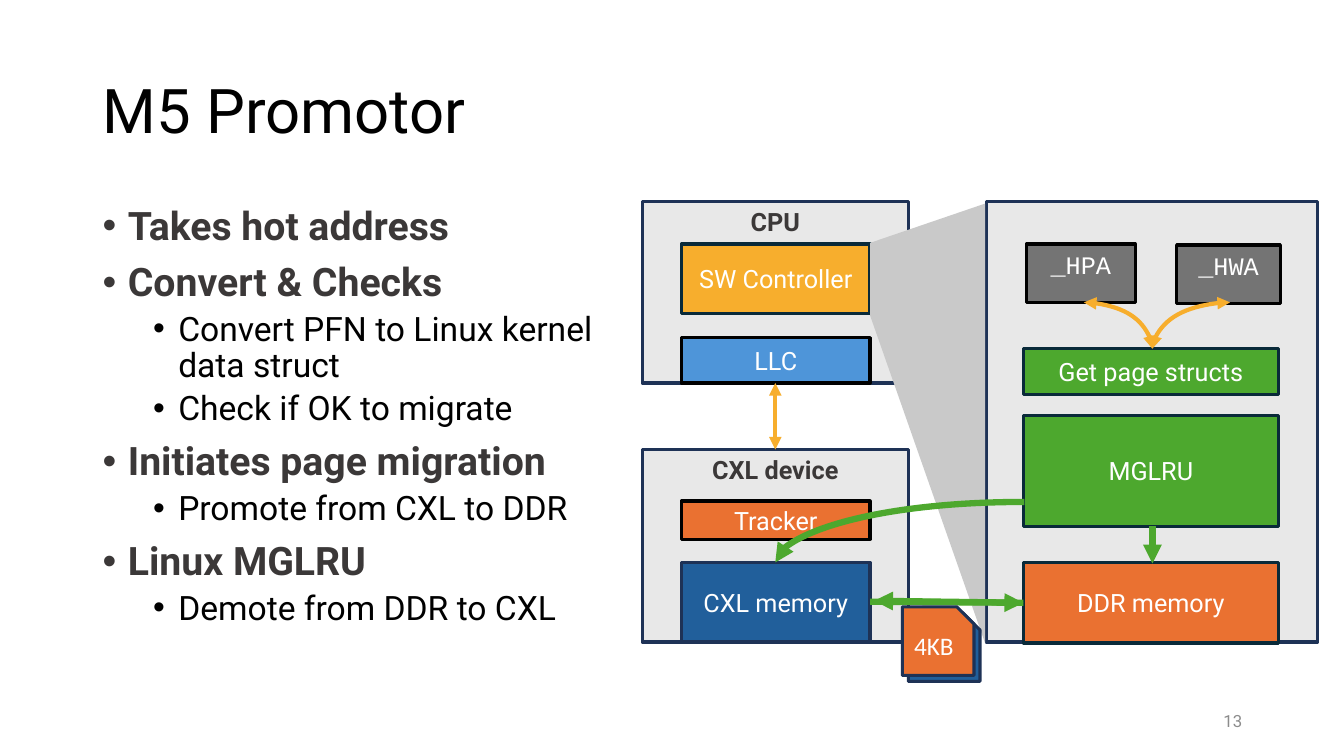
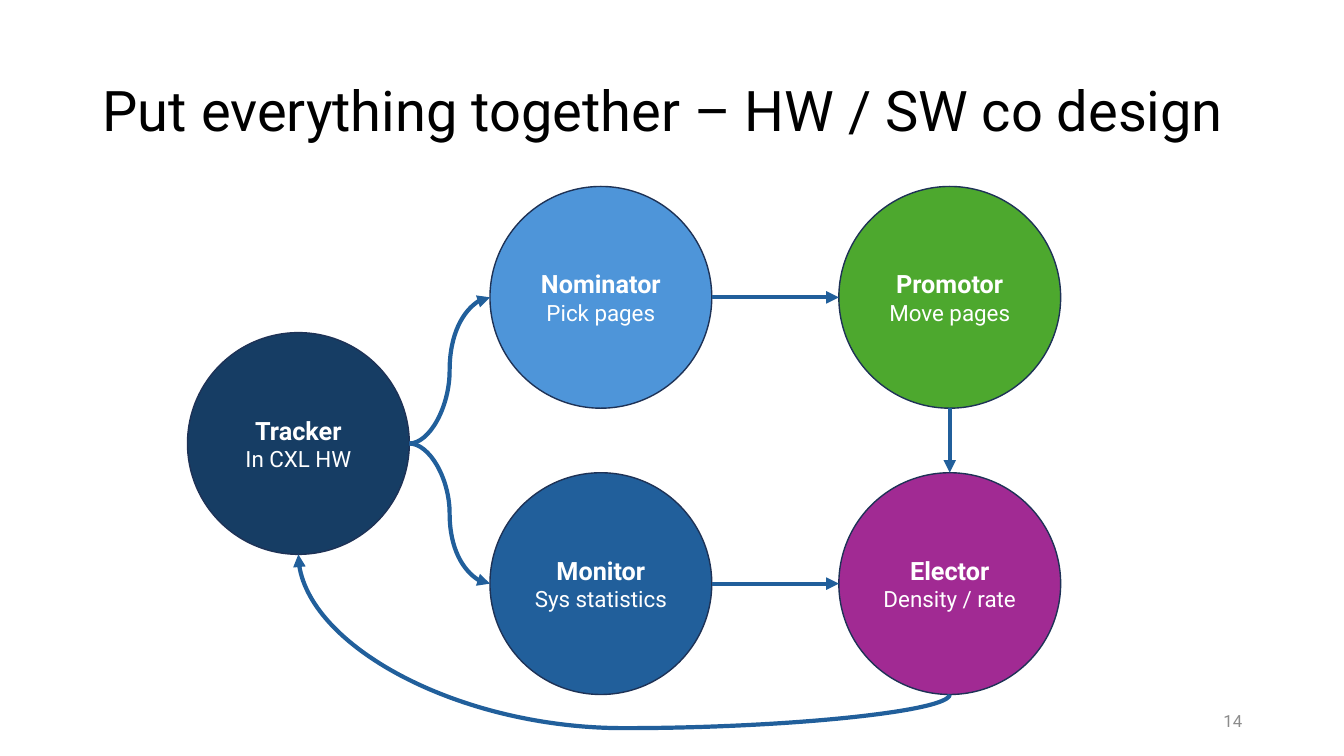
from pptx import Presentation
from pptx.dml.color import RGBColor
from pptx.enum.shapes import MSO_CONNECTOR, MSO_SHAPE
from pptx.enum.text import MSO_ANCHOR, PP_ALIGN
from pptx.oxml.ns import qn
from pptx.util import Inches, Pt
from lxml import etree

# Shared style
FONT = "Roboto"
BLACK = RGBColor(0x00, 0x00, 0x00)
WHITE = RGBColor(0xFF, 0xFF, 0xFF)
CHARCOAL = RGBColor(0x3B, 0x38, 0x38)
GRAY = RGBColor(0x74, 0x74, 0x74)
NUMBER_GRAY = RGBColor(0x8C, 0x8C, 0x8C)
WEDGE_GRAY = RGBColor(0xC9, 0xC9, 0xC9)
PANEL = RGBColor(0xE8, 0xE8, 0xE8)
NAVY_LINE = RGBColor(0x1E, 0x32, 0x56)
TEAL_LINE = RGBColor(0x09, 0x2A, 0x39)
NAVY = RGBColor(0x16, 0x3D, 0x64)
BLUE = RGBColor(0x21, 0x5F, 0x9B)
SKY = RGBColor(0x4E, 0x95, 0xD9)
GREEN = RGBColor(0x4D, 0xA8, 0x2E)
ORANGE = RGBColor(0xEA, 0x71, 0x31)
AMBER = RGBColor(0xF7, 0xAE, 0x2D)
PURPLE = RGBColor(0xA1, 0x2A, 0x93)

# Slide 1 content
FIRST_NUMBER = 13
BULLETS = [
    (0, "Takes hot address"),
    (0, "Convert & Checks"),
    (1, "Convert PFN to Linux kernel data struct"),
    (1, "Check if OK to migrate"),
    (0, "Initiates page migration"),
    (1, "Promote from CXL to DDR"),
    (0, "Linux MGLRU"),
    (1, "Demote from DDR to CXL"),
]
BULLET_LEVELS = [
    {"size": 28, "color": CHARCOAL, "bold": True, "before": 10, "indent": 0.25},
    {"size": 24, "color": BLACK, "bold": False, "before": 5, "indent": 0.75},
]

HEADING = {"color": CHARCOAL, "bold": True, "anchor": MSO_ANCHOR.TOP}
CODE = {"font": "Courier New", "anchor": MSO_ANCHOR.TOP}
PAGE = {"font": "Calibri"}

LEFT_X, LEFT_W = 6.76, 1.87      # blocks inside the CPU and CXL device
RIGHT_X, RIGHT_W = 10.15, 2.53   # blocks inside the controller detail
LEFT_MID = 7.69
RIGHT_MID = 11.43

# text, (left, top, width, height), fill, line, text format
BLOCKS = [
    ("CXL device", (6.37, 4.46, 2.64, 1.91), PANEL, NAVY_LINE, HEADING),
    ("CXL memory", (LEFT_X, 5.58, LEFT_W, 0.79), BLUE, NAVY_LINE, {}),
    ("Tracker", (LEFT_X, 4.97, LEFT_W, 0.38), ORANGE, BLACK, {}),
    ("CPU", (6.37, 2, 2.64, 1.8), PANEL, NAVY_LINE, HEADING),
    ("LLC", (LEFT_X, 3.35, LEFT_W, 0.45), SKY, BLACK, {}),
    ("SW Controller", (LEFT_X, 2.42, LEFT_W, 0.69), AMBER, TEAL_LINE, {}),
    ("", (9.78, 2, 3.29, 4.37), PANEL, NAVY_LINE, {}),
    ("_HWA", (11.67, 2.43, 1.03, 0.58), GRAY, BLACK, CODE),
    ("_HPA", (10.18, 2.42, 1.08, 0.58), GRAY, BLACK, CODE),
    ("Get page structs", (RIGHT_X, 3.46, RIGHT_W, 0.45), GREEN, TEAL_LINE, {}),
    ("MGLRU", (RIGHT_X, 4.12, RIGHT_W, 1.1), GREEN, TEAL_LINE, {}),
    ("DDR memory", (RIGHT_X, 5.58, RIGHT_W, 0.8), ORANGE, TEAL_LINE, {}),
]
WEDGE = [(9.77, 2.02), (9.77, 6.38), (8.63, 3.13), (8.63, 2.41)]

# start, end, format
AMBER_ARROW = {"color": AMBER, "width": 3, "both": True}
GREEN_ARROW = {"color": GREEN, "width": 4.5}
FLOWS = [
    ((LEFT_MID, 3.8), (LEFT_MID, 4.46), AMBER_ARROW),
    ((10.75, 3), (RIGHT_MID, 3.46), {"curve": "curvedConnector2", **AMBER_ARROW}),
    ((12.2, 3), (RIGHT_MID, 3.46), {"curve": "curvedConnector2", **AMBER_ARROW}),
    ((10.16, 4.98), (LEFT_MID, 5.58), {"curve": "curvedConnector2", **GREEN_ARROW}),
    ((8.63, 5.97), (10.15, 5.98), GREEN_ARROW),
    ((RIGHT_MID, 5.22), (RIGHT_MID, 5.59), GREEN_ARROW),
    ((10.15, 5.98), (8.67, 5.96), GREEN_ARROW),
]
PAGES = [("", 9.01, 6.08, BLUE), ("4KB", 8.95, 6.02, ORANGE)]

# Slide 2 content: name, role, left, top, fill
DIAMETER = 2.2
STAGES = [
    ("Tracker", "In CXL HW", 1.86, 3.3, NAVY),
    ("Monitor", "Sys statistics", 4.86, 4.69, BLUE),
    ("Promotor", "Move pages", 8.32, 1.85, GREEN),
    ("Nominator", "Pick pages", 4.86, 1.85, SKY),
    ("Elector", "Density / rate", 8.32, 4.69, PURPLE),
]
SIDES = {"left": (0, 0.5), "right": (1, 0.5), "top": (0.5, 0), "bottom": (0.5, 1)}
S_CURVE = {"curve": "curvedConnector3"}
LINKS = [
    ("Monitor", "right", "Elector", "left", {}),
    ("Tracker", "right", "Monitor", "left", S_CURVE),
    ("Tracker", "right", "Nominator", "left", S_CURVE),
    ("Nominator", "right", "Promotor", "left", {}),
    ("Elector", "bottom", "Tracker", "bottom",
     {"vertical": True, "bend": -0.24, **S_CURVE}),
    ("Promotor", "bottom", "Elector", "top", {}),
]


def write_text(shape, text, size=18, color=WHITE, bold=False, font=FONT,
               align=PP_ALIGN.CENTER, anchor=MSO_ANCHOR.MIDDLE,
               spacing=None, before=0, indent=None):
    """Add one paragraph of formatted text to a shape."""
    frame = shape.text_frame
    frame.word_wrap = True
    frame.vertical_anchor = anchor
    first = not frame.text
    paragraph = frame.paragraphs[0] if first else frame.add_paragraph()
    if indent is not None:
        properties = paragraph._p.get_or_add_pPr()
        properties.set("marL", str(Inches(indent)))
        properties.set("indent", str(-Inches(0.25)))
        etree.SubElement(properties, qn("a:buFont"), typeface="Arial")
        etree.SubElement(properties, qn("a:buChar"), char="•")
    paragraph.alignment = align
    if spacing:
        paragraph.line_spacing = spacing
    if before and not first:
        paragraph.space_before = Pt(before)
    run = paragraph.add_run()
    run.text = text
    run.font.name = font
    run.font.size = Pt(size)
    run.font.bold = bold
    run.font.color.rgb = color


def add_text_box(slide, box):
    return slide.shapes.add_textbox(*map(Inches, box))


def paint(shape, fill, line=None, width=2.25):
    shape.shadow.inherit = False
    shape.fill.solid()
    shape.fill.fore_color.rgb = fill
    if line is None:
        shape.line.fill.background()
    else:
        shape.line.color.rgb = line
        shape.line.width = Pt(width)


def add_block(slide, kind, box, fill, line, width=2.25):
    shape = slide.shapes.add_shape(kind, *map(Inches, box))
    paint(shape, fill, line, width)
    return shape


def add_arrow(slide, start, end, color=BLUE, width=3, both=False,
              curve=None, vertical=False, bend=None):
    """Join two points; a vertical curve leaves its start up or down."""
    (x1, y1), (x2, y2) = start, end
    if vertical:
        # Turn the end points back by 90 degrees around their middle
        mid_x, mid_y = (x1 + x2) / 2, (y1 + y2) / 2
        dx, dy = x1 - mid_x, y1 - mid_y
        x1, y1, x2, y2 = mid_x + dy, mid_y - dx, mid_x - dy, mid_y + dx
    kind = MSO_CONNECTOR.CURVE if curve else MSO_CONNECTOR.STRAIGHT
    connector = slide.shapes.add_connector(kind, *map(Inches, (x1, y1, x2, y2)))
    connector.line.color.rgb = color
    connector.line.width = Pt(width)
    properties = connector._element.spPr
    if vertical:
        properties.find(qn("a:xfrm")).set("rot", str(90 * 60000))
    geometry = properties.find(qn("a:prstGeom"))
    if curve:
        geometry.set("prst", curve)
    if bend is not None:
        guides = geometry.find(qn("a:avLst"))
        etree.SubElement(guides, qn("a:gd"), name="adj1",
                         fmla=f"val {round(bend * 100000)}")
    line = properties.find(qn("a:ln"))
    for tag in ("a:headEnd", "a:tailEnd") if both else ("a:tailEnd",):
        etree.SubElement(line, qn(tag), type="triangle")
    etree.SubElement(properties, qn("a:effectLst"))


def add_slide(presentation, title, title_size):
    """Blank slide with the shared title and slide number."""
    slide = presentation.slides.add_slide(presentation.slide_layouts[6])
    write_text(add_text_box(slide, (0.92, 0.4, 11.5, 1.45)), title,
               size=title_size, color=BLACK, align=PP_ALIGN.LEFT, spacing=0.9)
    number = FIRST_NUMBER + len(presentation.slides) - 1
    write_text(add_text_box(slide, (9.42, 6.95, 3, 0.4)), str(number),
               size=12, color=NUMBER_GRAY, align=PP_ALIGN.RIGHT)
    return slide


def build_promotor(presentation):
    slide = add_slide(presentation, "M5 Promotor", 44)

    # Bullet list
    body = add_text_box(slide, (0.92, 2, 5.46, 4.95))
    for level, text in BULLETS:
        write_text(body, text, align=PP_ALIGN.LEFT, anchor=MSO_ANCHOR.TOP,
                   spacing=0.9, **BULLET_LEVELS[level])

    # Hardware and software blocks
    for text, box, fill, line, style in BLOCKS:
        shape = add_block(slide, MSO_SHAPE.RECTANGLE, box, fill, line)
        if text:
            write_text(shape, text, **style)

    # Zoom wedge from the controller to its detail
    corners = [(Inches(x), Inches(y)) for x, y in WEDGE]
    builder = slide.shapes.build_freeform(*corners[0])
    builder.add_line_segments(corners[1:], close=True)
    paint(builder.convert_to_shape(), WEDGE_GRAY)

    # Arrows, then the migrating pages on top
    for start, end, style in FLOWS:
        add_arrow(slide, start, end, **style)
    for text, left, top, fill in PAGES:
        page = add_block(slide, MSO_SHAPE.SNIP_1_RECTANGLE,
                         (left, top, 0.71, 0.68), fill, NAVY_LINE)
        page.adjustments[0] = 0.25
        if text:
            write_text(page, text, **PAGE)


def build_overview(presentation):
    slide = add_slide(presentation, "Put everything together – HW / SW co design", 40)

    # Stage circles
    corners = {}
    for name, role, left, top, fill in STAGES:
        corners[name] = (left, top)
        circle = add_block(slide, MSO_SHAPE.OVAL, (left, top, DIAMETER, DIAMETER),
                           fill, NAVY_LINE, width=1)
        write_text(circle, name, bold=True)
        write_text(circle, role, size=16)

    # Links between circle sides
    def side_point(name, side):
        return tuple(corner + DIAMETER * part
                     for corner, part in zip(corners[name], SIDES[side]))

    for source, source_side, target, target_side, style in LINKS:
        add_arrow(slide, side_point(source, source_side),
                  side_point(target, target_side), **style)


def main():
    presentation = Presentation()
    presentation.slide_width = Inches(13.33)
    presentation.slide_height = Inches(7.5)
    build_promotor(presentation)
    build_overview(presentation)
    presentation.save("out.pptx")


if __name__ == "__main__":
    main()
